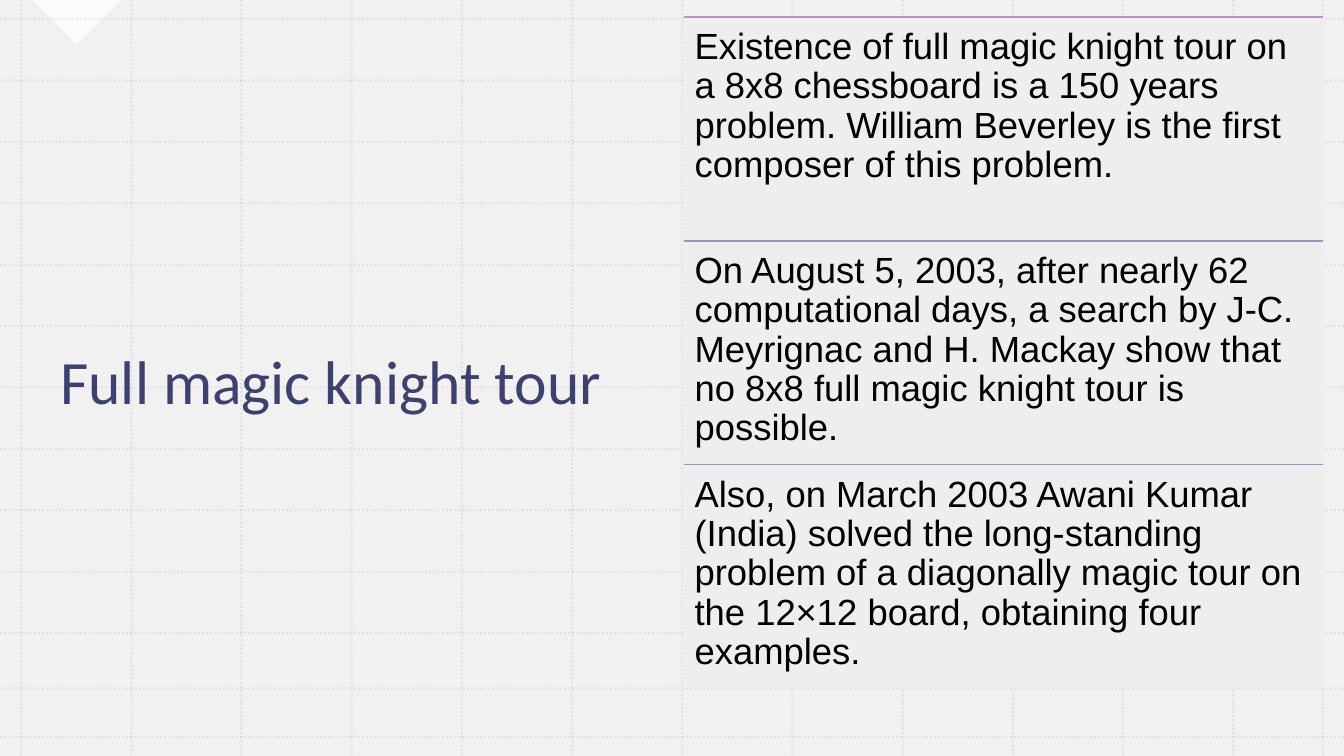
from lxml.etree import SubElement as Sub
from pptx import Presentation
from pptx.dml.color import RGBColor as RGB
from pptx.enum.dml import MSO_LINE as Dash
from pptx.enum.shapes import MSO_CONNECTOR as Conn, MSO_SHAPE as Shape
from pptx.enum.text import MSO_ANCHOR as Anchor
from pptx.oxml.ns import qn
from pptx.util import Inches, Pt

TITLE = "Full magic knight tour"
FACTS = [
    ("Existence of full magic knight tour on a 8x8 chessboard is a 150 years problem. "
     "William Beverley is the first composer of this problem.", "plum"),
    ("On August 5, 2003, after nearly 62 computational days, a search by J-C. Meyrignac "
     "and H. Mackay show that no 8x8 full magic knight tour is possible.", "violet"),
    ("Also, on March 2003 Awani Kumar (India) solved the long-standing problem of a "
     "diagonally magic tour on the 12×12 board, obtaining four examples.", "slate"),
]
COLORS = {"white": "FFFFFF", "pale": "EEEEEE", "navy": "12154E", "black": "000000",
          "plum": "B495C2", "violet": "9C92BF", "slate": "8F99BB"}
WIDE, HIGH = 13.33, 7.5
COLS = [0.21 + i * (12.23 - 0.21) / 11 for i in range(12)] + [13.12]
ROWS = [0.19 + i * (6.28 - 0.19) / 10 for i in range(11)] + [6.83, 7.31]
LEFT, TOP, WIDTH, STEP = 6.78, 0.17, 6.34, 2.22

deck = Presentation()
deck.slide_width, deck.slide_height = Inches(WIDE), Inches(HIGH)
slide = deck.slides.add_slide(deck.slide_layouts[6])
back = slide.background.fill
back.solid()
back.fore_color.rgb = RGB.from_string(COLORS["white"])


def paint(fill, name, alpha=100):
    fill.solid()
    fill.fore_color.rgb = RGB.from_string(COLORS[name])
    if alpha < 100:
        for tint in fill._xPr.iter(qn("a:srgbClr")):
            Sub(tint, qn("a:alpha"), val=str(alpha * 1000))


def block(kind, x, y, w, h, name, alpha=100):
    shape = slide.shapes.add_shape(kind, Inches(x), Inches(y), Inches(w), Inches(h))
    shape.shadow.inherit = False
    paint(shape.fill, name, alpha)
    shape.line.fill.background()
    return shape


def rule(x1, y1, x2, y2, name, width, alpha=100, dash=None):
    line = slide.shapes.add_connector(
        Conn.STRAIGHT, Inches(x1), Inches(y1), Inches(x2), Inches(y2))
    line.line.width = Pt(width)
    paint(line.line.fill, name, alpha)
    if dash:
        line.line.dash_style = dash
    Sub(line._element.spPr, qn("a:effectLst"))


def label(text, x, y, w, h, font, size, name, alpha=100, anchor=Anchor.TOP, pad=(0.11, 0.11)):
    frame = slide.shapes.add_textbox(Inches(x), Inches(y), Inches(w), Inches(h)).text_frame
    frame.word_wrap = True
    frame.vertical_anchor = anchor
    frame.margin_left = frame.margin_right = Inches(pad[0])
    frame.margin_top = frame.margin_bottom = Inches(pad[1])
    para = frame.paragraphs[0]
    para.line_spacing = 0.9
    run = para.add_run()
    run.text = text
    run.font.name, run.font.size = font, Pt(size)
    paint(run.font.fill, name, alpha)


block(Shape.RECTANGLE, 0, 0, WIDE, HIGH, "pale", 80)
block(Shape.RIGHT_TRIANGLE, 0.45, -0.31, 0.62, 0.62, "white", 75).rotation = 315

for x in COLS:
    rule(x, 0, x, HIGH, "plum", 1.5, 20, Dash.ROUND_DOT)
for y in ROWS:
    rule(0, y, WIDE, y, "plum", 1.5, 20, Dash.ROUND_DOT)

label(TITLE, 0.5, 0.79, 6.07, 6.05, "Calibri", 44, "navy", 80, Anchor.MIDDLE, (0.1, 0.05))

block(Shape.RECTANGLE, 6.77, 0.18, 6.37, 6.65, "pale")
for i, (fact, tone) in enumerate(FACTS):
    y = TOP + i * STEP
    rule(LEFT, y, LEFT + WIDTH, y, tone, 1)
    label(fact, LEFT, y, WIDTH, STEP, "Arial", 26, "black")

deck.save("out.pptx")
